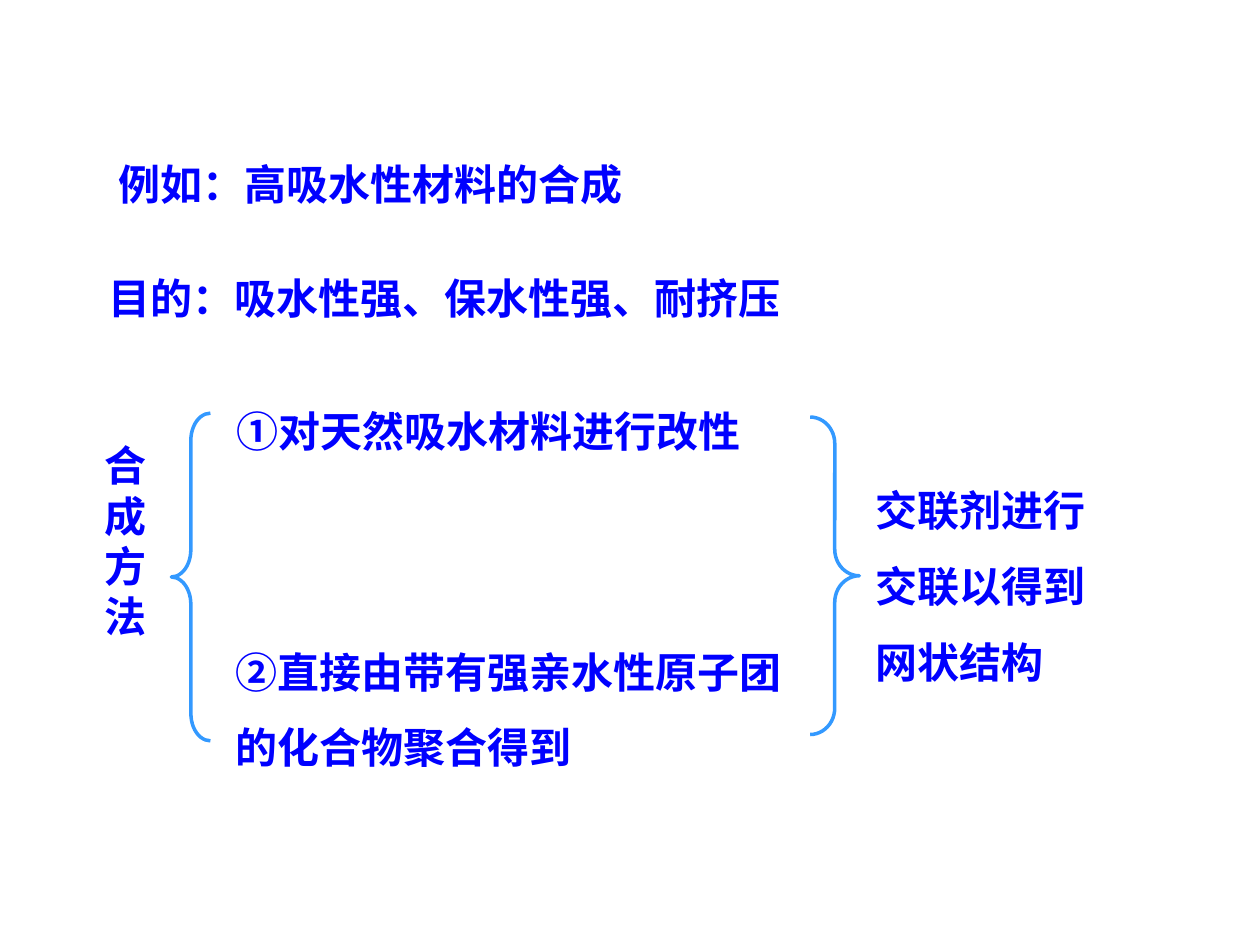
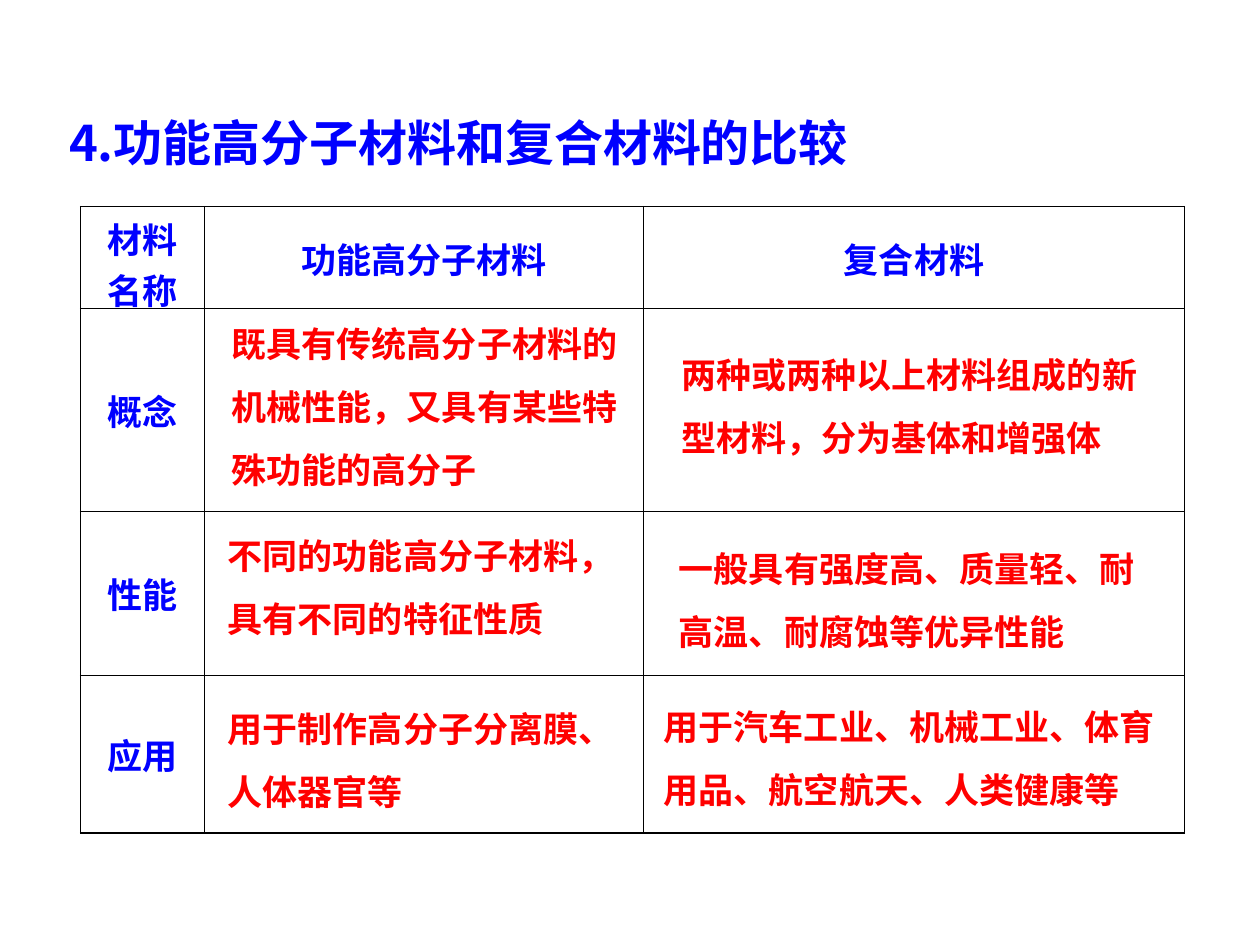
"""Two slides on synthesising and comparing functional polymer materials."""
from dataclasses import dataclass

from lxml import etree
from pptx import Presentation
from pptx.dml.color import RGBColor
from pptx.enum.shapes import MSO_SHAPE
from pptx.enum.text import MSO_ANCHOR, MSO_AUTO_SIZE, PP_ALIGN
from pptx.oxml.ns import qn
from pptx.util import Inches, Pt

LEFT_BRACE = MSO_SHAPE.LEFT_BRACE
RIGHT_BRACE = MSO_SHAPE.RIGHT_BRACE
MIDDLE = MSO_ANCHOR.MIDDLE
GROW = MSO_AUTO_SIZE.SHAPE_TO_FIT_TEXT
LEFT = PP_ALIGN.LEFT
CENTER = PP_ALIGN.CENTER
BLANK_LAYOUT = 6


@dataclass(frozen=True)
class Theme:
    """Colours, fonts and sizes shared by the slides."""
    blue: str = "0000FF"
    red: str = "FF0000"
    brace: str = "3399FF"
    border: str = "000000"
    cjk: str = "Noto Sans CJK SC"
    table_font: str = "Times New Roman"
    note_font: str = "Roboto"
    note_font_alt: str = "Arial"
    title: int = 28
    body: int = 24
    table: int = 20
    brace_line: float = 2
    outer_line: float = 0.96
    inner_line: float = 0.45


THEME = Theme()


def write_text(frame, text, size=THEME.body, color=THEME.blue, font=THEME.cjk,
               align=LEFT, spacing=1.0):
    """Fill a text frame with one bold paragraph per line of text."""
    for index, line in enumerate(text.split("\n")):
        paragraph = frame.add_paragraph() if index else frame.paragraphs[0]
        paragraph.alignment = align
        paragraph.line_spacing = spacing
        run = paragraph.add_run()
        run.text = line
        run.font.size = Pt(size)
        run.font.bold = True
        run.font.color.rgb = RGBColor.from_string(color)
        run.font.name = font
        east_asian = etree.SubElement(run.font._element, qn("a:ea"))
        east_asian.set("typeface", THEME.cjk)


def add_label(slide, box, text, **style):
    """Add a wrapping text box at left, top, width, height in inches."""
    frame = slide.shapes.add_textbox(*map(Inches, box)).text_frame
    frame.word_wrap = True
    frame.auto_size = GROW
    write_text(frame, text, **style)


def add_brace(slide, kind, box, curl):
    """Add an unfilled brace whose curls are the given share of its width."""
    brace = slide.shapes.add_shape(kind, *map(Inches, box))
    brace.shadow.inherit = False
    brace.fill.background()
    brace.line.color.rgb = RGBColor.from_string(THEME.brace)
    brace.line.width = Pt(THEME.brace_line)
    brace.adjustments[0] = curl


def set_borders(cell, outer):
    """Draw the four cell borders, thicker on the sides that are outer."""
    properties = cell._tc.get_or_add_tcPr()
    for index, side in enumerate("LRTB"):
        width = THEME.outer_line if outer[side] else THEME.inner_line
        line = etree.Element(qn(f"a:ln{side}"), w=str(int(Pt(width))))
        fill = etree.SubElement(line, qn("a:solidFill"))
        etree.SubElement(fill, qn("a:srgbClr"), val=THEME.border)
        properties.insert(index, line)


def add_grid(slide, box, widths, heights, labels):
    """Add a plain bordered table with labels keyed by row and column."""
    rows, columns = len(heights), len(widths)
    table = slide.shapes.add_table(rows, columns, *map(Inches, box)).table
    table.first_row = table.horz_banding = False
    for column, width in zip(table.columns, widths):
        column.width = Inches(width)
    for row, height in zip(table.rows, heights):
        row.height = Inches(height)
    for r in range(rows):
        for c in range(columns):
            cell = table.cell(r, c)
            cell.vertical_anchor = MIDDLE
            cell.fill.background()
            set_borders(cell, {"L": c == 0, "R": c == columns - 1,
                               "T": r == 0, "B": r == rows - 1})
            if (r, c) in labels:
                write_text(cell.text_frame, labels[r, c], size=THEME.table,
                           font=THEME.table_font, align=CENTER)


def build_synthesis(slide):
    """Build the slide on making a highly absorbent material."""
    add_label(slide, (0.84, 1.21, 6.38, 0.5), "例如：高吸水性材料的合成")
    add_label(slide, (0.76, 2.11, 8.19, 0.5), "目的：吸水性强、保水性强、耐挤压")
    add_brace(slide, RIGHT_BRACE, (6.43, 3.31, 0.39, 2.52), 0.54)
    add_label(slide, (6.85, 3.6, 2.07, 1.9), "交联剂进行交联以得到网状结构",
              spacing=1.5)
    add_brace(slide, LEFT_BRACE, (1.36, 3.28, 0.31, 2.6), 0.7)
    add_label(slide, (0.73, 3.44, 0.63, 1.7), "合成方法")
    add_label(slide, (1.78, 3.17, 5.8, 0.5), "①对天然吸水材料进行改性")
    add_label(slide, (1.77, 4.88, 5.26, 1.3),
              "②直接由带有强亲水性原子团\n的化合物聚合得到", spacing=1.5)


def build_comparison(slide):
    """Build the slide comparing functional polymers with composites."""
    labels = {(0, 0): "材料\n名称", (0, 1): "功能高分子材料", (0, 2): "复合材料",
              (1, 0): "概念", (2, 0): "性能", (3, 0): "应用"}
    add_grid(slide, (0.64, 1.64, 8.76, 4.97), (0.98, 3.49, 4.29),
             (0.81, 1.61, 1.3, 1.25), labels)
    notes = [
        ((5.29, 4.13, 3.87, 1.1), "一般具有强度高、质量轻、耐高温、耐腐蚀等优异性能",
         THEME.note_font_alt),
        ((1.74, 2.34, 3.39, 1.6), "既具有传统高分子材料的机械性能，又具有某些特殊功能的高分子",
         THEME.note_font),
        ((1.71, 4.03, 3.36, 1.1), "不同的功能高分子材料，具有不同的特征性质",
         THEME.note_font),
        ((1.71, 5.4, 3.7, 1.1), "用于制作高分子分离膜、\n人体器官等", THEME.note_font),
        ((5.31, 2.59, 3.94, 1.1), "两种或两种以上材料组成的新型材料，分为基体和增强体",
         THEME.note_font),
        ((5.17, 5.38, 4.47, 1.1), "用于汽车工业、机械工业、体育\n用品、航空航天、人类健康等",
         THEME.note_font),
    ]
    for box, text, font in notes:
        add_label(slide, box, text, size=THEME.table, color=THEME.red,
                  font=font, spacing=1.5)
    add_label(slide, (0.45, 0.84, 7.44, 0.57), "4.功能高分子材料和复合材料的比较",
              size=THEME.title)


def main():
    """Build and save the presentation."""
    presentation = Presentation()
    presentation.slide_width = Inches(10)
    presentation.slide_height = Inches(7.5)
    for build in (build_synthesis, build_comparison):
        build(presentation.slides.add_slide(
            presentation.slide_layouts[BLANK_LAYOUT]))
    presentation.save("out.pptx")


if __name__ == "__main__":
    main()
